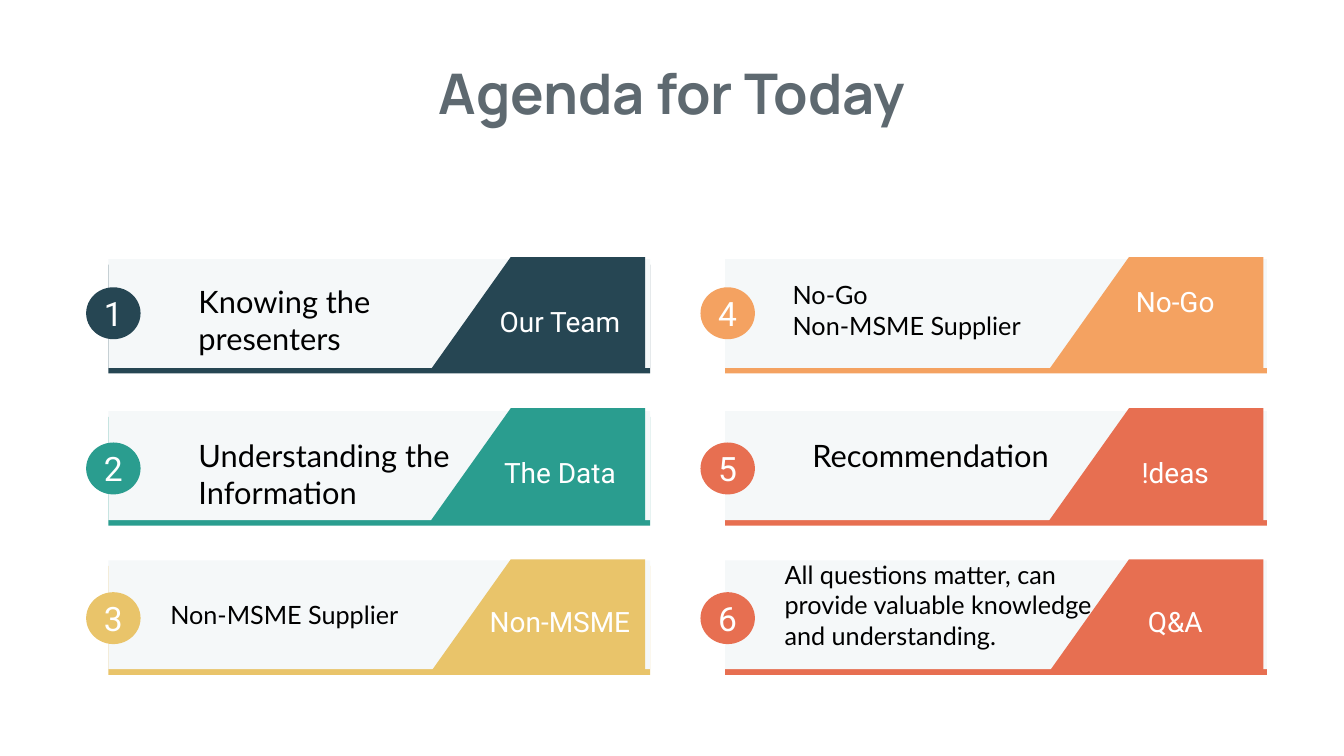
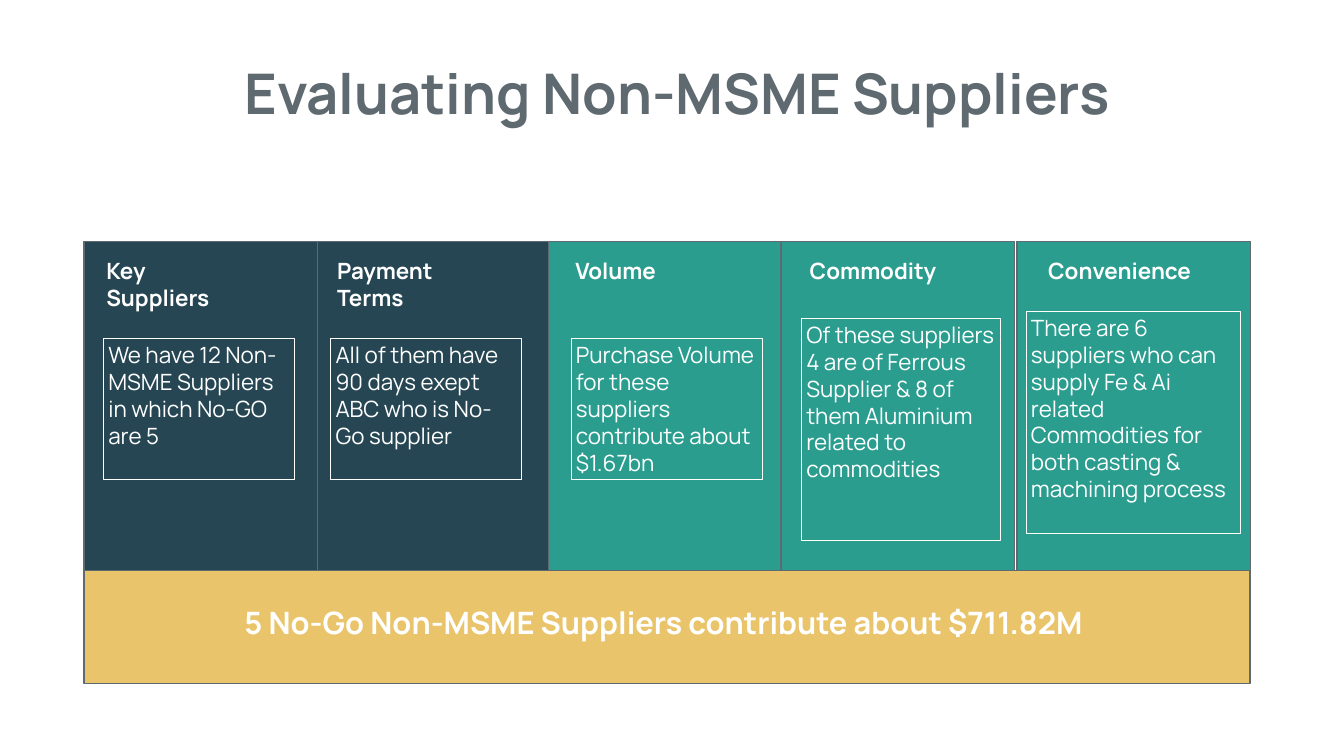
from pptx import Presentation
from pptx import util as u
from pptx.dml.color import RGBColor
from pptx.enum import shapes, text

COLORS = {
    "title": "5E6970", "white": "FFFFFF", "black": "000000", "card": "F5F8F9",
    "navy": "264653", "teal": "2A9D8F", "sand": "E9C46A",
    "orange": "F4A261", "coral": "E76F51",
}

presentation = Presentation()
presentation.slide_width = u.Inches(26.67)
presentation.slide_height = u.Inches(15)

# All lengths are counted on a grid of 100 columns and 100 rows
COLUMN = presentation.slide_width / 100
ROW = presentation.slide_height / 100


def add_box(slide, area, kind=None, fill=None, line=None, line_width=2):
    """Add a text box, a preset shape, or a tab with a slanted left edge.

    area is left, top, width, height in grid units; kind is None, a preset or "tab".
    """
    left, top, width, height = area
    place = [round(n * size) for n, size in zip(area, (COLUMN, ROW, COLUMN, ROW))]
    if kind is None:
        shape = slide.shapes.add_textbox(*place)
        shape.text_frame.word_wrap = True
        return shape
    if kind == "tab":
        right, bottom = left + width, top + height
        corners = [(right, top), (right, bottom), (left, bottom)]
        builder = slide.shapes.build_freeform(left + TAB_SLANT, top, scale=(COLUMN, ROW))
        builder.add_line_segments(corners, close=True)
        shape = builder.convert_to_shape()
    else:
        shape = slide.shapes.add_shape(kind, *place)
    shape.shadow.inherit = False
    if fill:
        shape.fill.solid()
        shape.fill.fore_color.rgb = RGBColor.from_string(COLORS[fill])
    else:
        shape.fill.background()
    if line:
        shape.line.color.rgb = RGBColor.from_string(COLORS[line])
        shape.line.width = u.Pt(line_width)
    else:
        shape.line.fill.background()
    return shape


def write(shape, words, size, font, color="white", bold=False, centered=False, middle=False):
    frame = shape.text_frame
    frame.word_wrap = True
    frame.vertical_anchor = text.MSO_ANCHOR.MIDDLE if middle else text.MSO_ANCHOR.TOP
    if not middle:
        frame.auto_size = text.MSO_AUTO_SIZE.SHAPE_TO_FIT_TEXT
    for index, line in enumerate(words.split("\n")):
        paragraph = frame.add_paragraph() if index else frame.paragraphs[0]
        paragraph.alignment = text.PP_ALIGN.CENTER if centered else text.PP_ALIGN.LEFT
        run = paragraph.add_run()
        run.text = line
        run.font.size = u.Pt(size)
        run.font.name = font
        run.font.bold = bold
        run.font.color.rgb = RGBColor.from_string(COLORS[color])


RECTANGLE = shapes.MSO_SHAPE.RECTANGLE
TITLES = [
    ("Agenda for Today", 30.45, 39.07),
    (" Evaluating Non-MSME Suppliers", 14.55, 70.87),
]
slides = []
for title, left, width in TITLES:
    slide = presentation.slides.add_slide(presentation.slide_layouts[6])
    write(add_box(slide, (left, 7.47, width, 9.67)), title, 80, "Manrope", "title",
          bold=True, centered=True)
    slides.append(slide)
agenda, evaluation = slides

# Agenda: two columns of three numbered cards
CARD_LEFTS = (8.06, 53.96)
CARD_TOPS = (34.27, 54.4, 74.13)
CARD_WIDTH, CARD_HEIGHT, UNDERLINE = 40.31, 14.4, 0.73
TAB_OFFSET, TAB_SLANT = 24.32, 5.51
NUMBER_LEFTS = (6.41, 52.12)
NUMBER_TOPS = (38, 58.53, 78.33)

# colour, tab label, its left, top and width, description, its size and area
CARDS = [
    ("navy", "Our Team", (34.95, 40, 13.42),
     "Knowing the presenters", 44, (14.4, 37.13, 20.55, 10.53)),
    ("teal", "The Data", (34.95, 59.93, 13.42),
     "Understanding the Information", 44, (14.4, 57.4, 20.55, 10.53)),
    ("sand", "Non-MSME", (34.95, 79.67, 13.42),
     "Non-MSME Supplier", 36, (12.3, 79, 26.55, 4.73)),
    ("orange", "No-Go", (80.73, 37.33, 13.42),
     "No-Go\nNon-MSME Supplier", 36, (58.61, 36.67, 26.55, 8.73)),
    ("coral", "!deas", (78.22, 59.93, 18.45),
     "Recommendation", 44, (60.07, 57.4, 20.55, 5.6)),
    ("coral", "Q&A", (78.22, 79.67, 18.45),
     "All questions matter, can provide valuable knowledge and understanding.",
     36, (58.01, 73.67, 23.92, 12.8)),
]
for index, (color, label, label_place, description, size, area) in enumerate(CARDS):
    column, row = divmod(index, len(CARD_TOPS))
    left, top = CARD_LEFTS[column], CARD_TOPS[row]
    add_box(agenda, (left, top + UNDERLINE, CARD_WIDTH, CARD_HEIGHT), RECTANGLE, color)
    add_box(agenda, (left, top, CARD_WIDTH, CARD_HEIGHT), RECTANGLE, "card")
    tab = (left + TAB_OFFSET, top, CARD_WIDTH - TAB_OFFSET, CARD_HEIGHT)
    add_box(agenda, tab, "tab", color)
    write(add_box(agenda, (*label_place, 5.13)), label, 40, "Roboto", centered=True)
    write(add_box(agenda, area), description, size, "Lato", "black")
    number = add_box(agenda, (NUMBER_LEFTS[column], NUMBER_TOPS[row], 4.05, 6.87),
                     shapes.MSO_SHAPE.OVAL, color)
    write(number, str(index + 1), 48, "Roboto", centered=True, middle=True)

# Evaluation: five panels standing on a summary band
PANEL_TOP, PANEL_WIDTH, PANEL_HEIGHT = 31.93, 17.36, 43.53

# panel left, colour, heading, its left, width and height, finding and its area
PANELS = [
    (6.26, "navy", "Key Suppliers", (7.54, 8.7, 7.87),
     "We have 12 Non-MSME Suppliers in which No-GO are 5",
     (7.69, 44.8, 14.21, 18.6)),
    (23.62, "navy", "Payment Terms", (24.71, 9.94, 7.87),
     "All of them have 90 days exept ABC who is No-Go supplier",
     (24.6, 44.8, 14.21, 18.6)),
    (40.83, "teal", "Volume", (42.44, 9.86, 4.27),
     "Purchase Volume for these suppliers contribute about $1.67bn",
     (42.48, 44.8, 14.21, 18.6)),
    (58.12, "teal", "Commodity", (59.88, 11.1, 4.27),
     "Of these suppliers 4 are of Ferrous Supplier & 8 of them Aluminium related to commodities",
     (59.62, 42.13, 14.77, 29.4)),
    (75.67, "teal", "Convenience", (77.62, 13.57, 4.27),
     "There are 6 suppliers who can supply Fe & Ai related Commodities for both casting "
     "& machining process",
     (76.34, 41.2, 15.94, 29.4)),
]
blocks = [((left, PANEL_TOP, PANEL_WIDTH, PANEL_HEIGHT), color) for left, color, *_ in PANELS]
blocks.append(((6.26, PANEL_TOP + PANEL_HEIGHT, 86.76, 14.93), "sand"))
for area, color in blocks:
    block = add_box(evaluation, area, shapes.MSO_SHAPE.ROUNDED_RECTANGLE, color, "title")
    block.adjustments[0] = 0

for _, _, heading, (left, width, height), finding, area in PANELS:
    write(add_box(evaluation, (left, 33.67, width, height)), heading, 32, "Manrope", bold=True)
    write(add_box(evaluation, area, RECTANGLE, line="white", line_width=0.75),
          finding, 32, "Manrope")

write(add_box(evaluation, (8.21, 79.53, 82.38, 5.6)),
      "5 No-Go Non-MSME Suppliers contribute about $711.82M", 44, "Manrope",
      bold=True, centered=True)

presentation.save("out.pptx")
